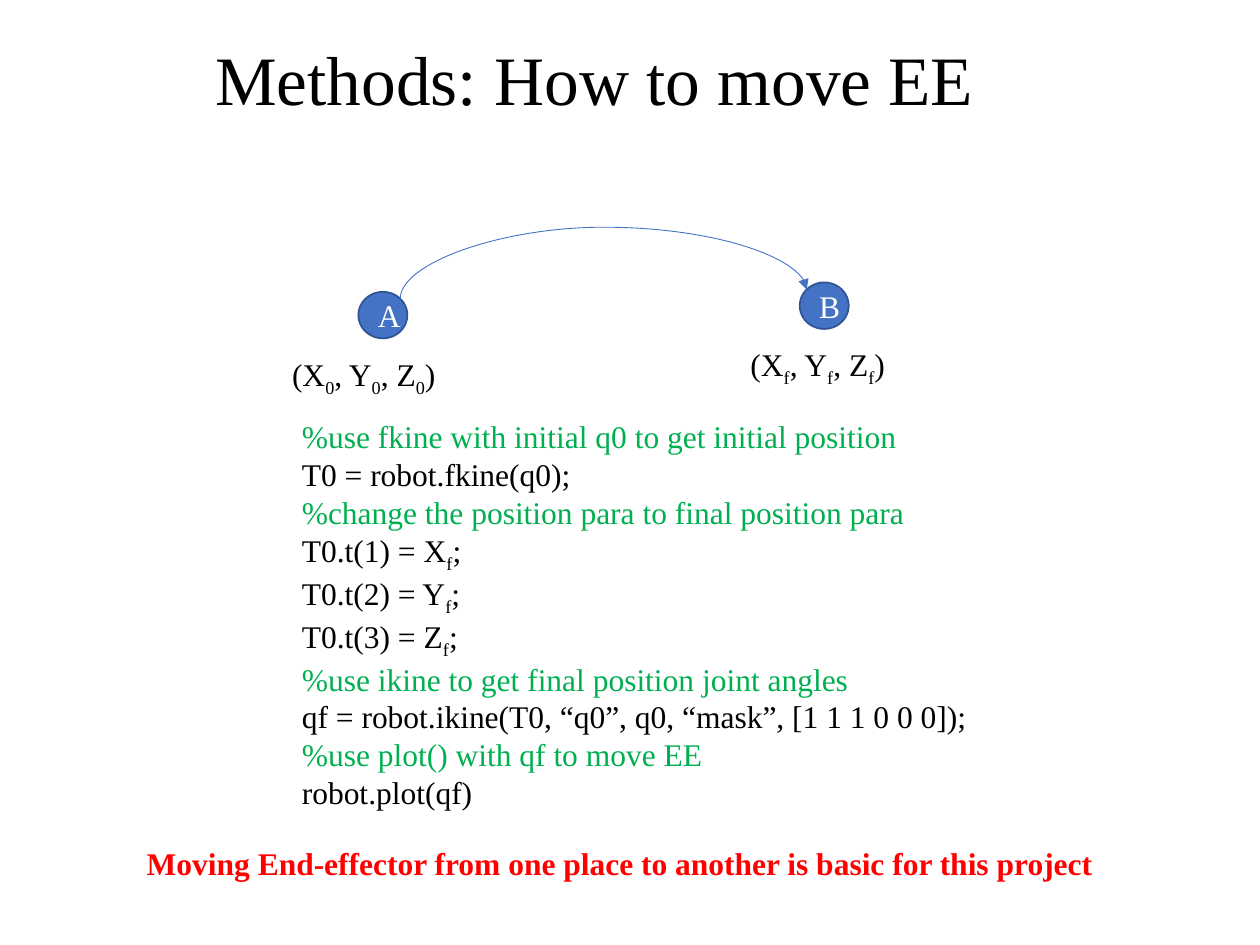
"""Build the slide on moving a robot end-effector from A to B."""
from lxml import etree
from pptx import Presentation
from pptx.dml.color import RGBColor
from pptx.enum import shapes, text
from pptx.oxml.ns import qn
from pptx.util import Pt

FONT = "Times New Roman"
BLACK = RGBColor(0x00, 0x00, 0x00)
WHITE = RGBColor(0xFF, 0xFF, 0xFF)
BLUE = RGBColor(0x44, 0x72, 0xC4)
NAVY = RGBColor(0x32, 0x54, 0x91)
GREEN = RGBColor(0x00, 0xB0, 0x50)
RED = RGBColor(0xFF, 0x00, 0x00)

CODE = [
    "%use fkine with initial q0 to get initial position",
    "T0 = robot.fkine(q0);",
    "%change the position para to final position para",
    "T0.t(1) = X_f;",
    "T0.t(2) = Y_f;",
    "T0.t(3) = Z_f;",
    "%use ikine to get final position joint angles",
    "qf = robot.ikine(T0, “q0”, q0, “mask”, [1 1 1 0 0 0]);",
    "%use plot() with qf to move EE",
    "robot.plot(qf)",
]


def add_run(p, words, subscript=False):
    r = p.add_run()
    r.text = words
    if subscript:
        r.font._element.set("baseline", "-25000")


def write_line(p, line, color=BLACK, size=18, bold=False):
    """Write a line in which an underscore lowers the next character."""
    first, *rest = line.split("_")
    add_run(p, first)
    for part in rest:
        add_run(p, part[0], subscript=True)
        add_run(p, part[1:])
    p.font.name, p.font.size, p.font.bold = FONT, Pt(size), bold
    p.font.color.rgb = color


def add_text(s, box, lines, wrap=False, **style):
    tf = s.shapes.add_textbox(*map(Pt, box)).text_frame
    tf.word_wrap = wrap
    for i, line in enumerate(lines):
        p = tf.add_paragraph() if i else tf.paragraphs[0]
        color = GREEN if line.startswith("%") else BLACK
        write_line(p, line, **{"color": color, **style})
    return tf


def add_point(s, left, top, letter):
    sp = s.shapes.add_shape(shapes.MSO_SHAPE.OVAL, Pt(left), Pt(top), Pt(28), Pt(26.6))
    sp.shadow.inherit = False
    sp.fill.solid()
    sp.fill.fore_color.rgb = BLUE
    sp.line.color.rgb = NAVY
    sp.line.width = Pt(1)
    tf = sp.text_frame
    tf.vertical_anchor = text.MSO_ANCHOR.MIDDLE
    p = tf.paragraphs[0]
    p.alignment = text.PP_ALIGN.CENTER
    write_line(p, letter, WHITE)


def add_arc(s, x1, y1, x2, y2, rise):
    """Add a curved arrow that leaves upwards, by turning a connector 270 degrees."""
    cx, cy = (x1 + x2) / 2, (y1 + y2) / 2
    w, h = y1 - y2, x2 - x1
    c = s.shapes.add_connector(
        shapes.MSO_CONNECTOR.CURVE,
        Pt(cx - w / 2), Pt(cy - h / 2), Pt(cx + w / 2), Pt(cy + h / 2))
    c.line.color.rgb = BLUE
    c.line.width = Pt(0.5)
    sp_pr = c._element.spPr
    sp_pr.find(qn("a:xfrm")).set("rot", "16200000")
    guides = sp_pr.find(qn("a:prstGeom")).find(qn("a:avLst"))
    etree.SubElement(guides, qn("a:gd"), name="adj1", fmla=f"val {round(rise / w * 100000)}")
    etree.SubElement(sp_pr.find(qn("a:ln")), qn("a:tailEnd"), type="triangle")
    etree.SubElement(sp_pr, qn("a:effectLst"))


def main():
    prs = Presentation()
    prs.slide_width, prs.slide_height = Pt(720), Pt(540)
    s = prs.slides.add_slide(prs.slide_layouts[6])

    title = add_text(s, (116, 15, 471.6, 65), ["Methods: How to move EE"], wrap=True, size=39.6)
    title.vertical_anchor = text.MSO_ANCHOR.MIDDLE
    title.paragraphs[0].line_spacing = 0.9

    add_point(s, 204.8, 166.8, "A")
    add_point(s, 457, 161.4, "B")
    add_arc(s, 228.7, 170.7, 461, 165.5, 41)
    add_text(s, (159.8, 199.6, 98, 29), ["(X_0, Y_0, Z_0)"])
    add_text(s, (421.8, 193.8, 92, 29), ["(X_f, Y_f, Z_f)"])

    add_text(s, (165.4, 235, 394.6, 225.4), CODE)
    add_text(s, (76.8, 479, 566.6, 29),
             ["Moving End-effector from one place to another is basic for this project"],
             wrap=True, color=RED, bold=True)
    prs.save("out.pptx")


if __name__ == "__main__":
    main()
